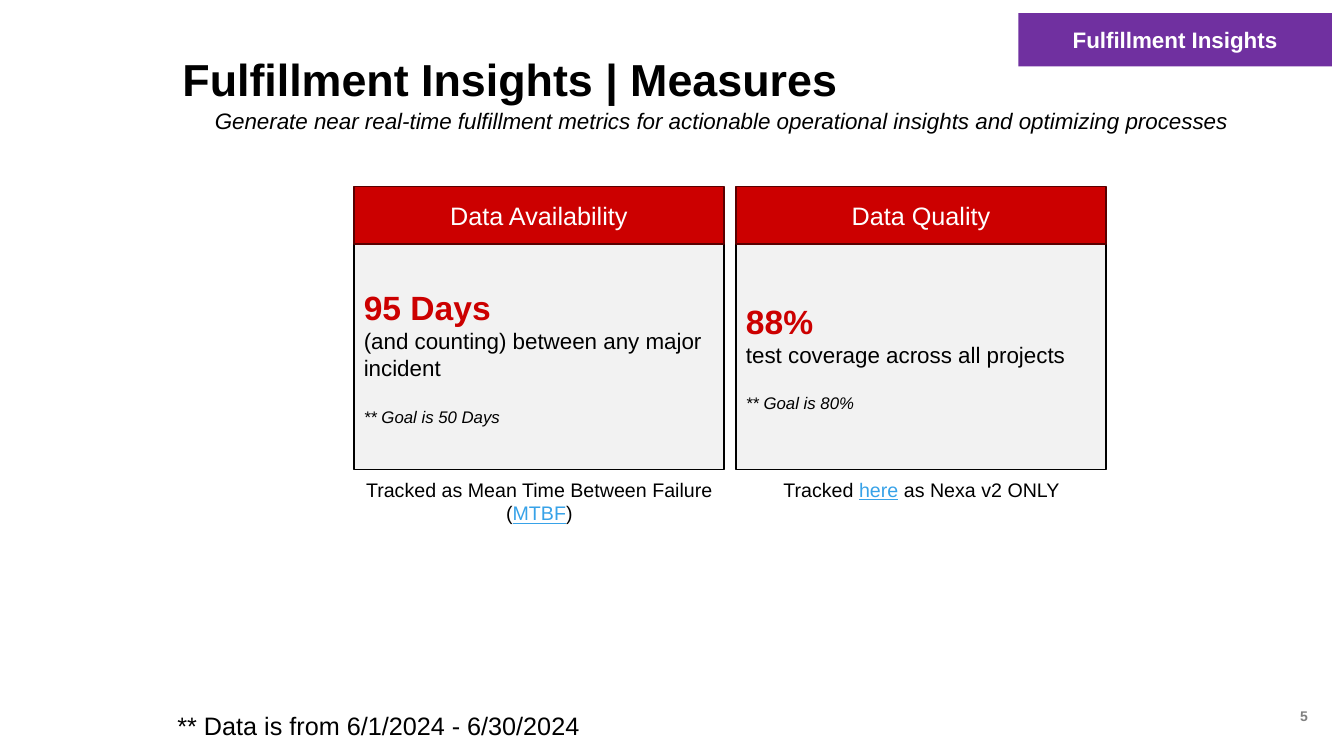
from pptx import Presentation
from pptx.dml.color import RGBColor
from pptx.enum.shapes import MSO_SHAPE
from pptx.enum.text import MSO_ANCHOR, PP_ALIGN
from pptx.util import Emu, Pt

PX = 9144
BLACK, WHITE, RED, DARK_RED = "000000", "FFFFFF", "CC0000", "590000"
GREY, PURPLE, LIGHT, LINK = "808080", "7030A0", "F2F2F2", "37A2E8"


def rgb(value):
    return RGBColor.from_string(value)


def write(box, lines, align=PP_ALIGN.LEFT, anchor=MSO_ANCHOR.TOP, inset=True):
    frame = box.text_frame
    frame.word_wrap = True
    frame.vertical_anchor = anchor
    if not inset:
        frame.margin_left = frame.margin_top = frame.margin_right = frame.margin_bottom = 0
    for index, (text, size, color, bold, italic) in enumerate(lines):
        para = frame.add_paragraph() if index else frame.paragraphs[0]
        para.text = text
        para.alignment = align
        para.font.name = "Arial"
        para.font.size = Pt(size)
        para.font.color.rgb = rgb(color)
        para.font.bold = bold
        para.font.italic = italic
    return frame


deck = Presentation()
deck.slide_width, deck.slide_height = Emu(1333 * PX), Emu(750 * PX)
page = deck.slides.add_slide(deck.slide_layouts[5])

title = page.shapes.title
title.left, title.top, title.width, title.height = [Emu(n * PX) for n in (181, 58, 1125, 47)]
frame = write(title, [("Fulfillment Insights | Measures", 32, BLACK, True, False)],
              anchor=MSO_ANCHOR.MIDDLE, inset=False)
frame.paragraphs[0].line_spacing = 0.9

subtitle = page.shapes.add_textbox(*[Emu(n * PX) for n in (213, 109, 1092, 39)])
frame = write(subtitle, [("Generate near real-time fulfillment metrics for actionable operational "
                          "insights and optimizing processes", 16, BLACK, False, True)], inset=False)
frame.paragraphs[0].line_spacing = 0.9

number = page.shapes.add_textbox(*[Emu(n * PX) for n in (1214, 690, 93, 40)])
write(number, [("5", 10, GREY, True, False)], PP_ALIGN.RIGHT, MSO_ANCHOR.MIDDLE)

footnote = page.shapes.add_textbox(*[Emu(n * PX) for n in (176, 705, 514, 30)])
write(footnote, [("** Data is from 6/1/2024 - 6/30/2024", 18, BLACK, False, False)], inset=False)

panels = [((1010, 13, 311, 53), PURPLE, None, PP_ALIGN.CENTER,
           [("Fulfillment Insights", 16, WHITE, True, False)])]
measures = [
    (351, "Data Availability", "95 Days", "(and counting) between any major incident",
     "** Goal is 50 Days", ("Tracked as Mean Time Between Failure (", "MTBF", ")")),
    (730, "Data Quality", "88%", "test coverage across all projects",
     "** Goal is 80%", ("Tracked ", "here", " as Nexa v2 ONLY")),
]
for left, heading, value, detail, goal, source in measures:
    panels.append(((left, 242, 367, 224), LIGHT, BLACK, PP_ALIGN.LEFT,
                   [(value, 24, RED, True, False), (detail, 16, BLACK, False, False),
                    (goal, 12, BLACK, False, True)]))
    panels.append(((left, 185, 367, 57), RED, DARK_RED, PP_ALIGN.CENTER,
                   [(heading, 18, WHITE, False, False)]))

    caption = page.shapes.add_textbox(*[Emu(n * PX) for n in (left, 474, 368, 47)])
    frame = write(caption, [("", 14, BLACK, False, False)], PP_ALIGN.CENTER, inset=False)
    for text in source:
        span = frame.paragraphs[0].add_run()
        span.text = text
        if text == source[1]:
            span.font.color.rgb = rgb(LINK)
            span.font.underline = True

for bounds, fill, outline, align, lines in panels:
    panel = page.shapes.add_shape(MSO_SHAPE.RECTANGLE, *[Emu(n * PX) for n in bounds])
    panel.shadow.inherit = False
    panel.fill.solid()
    panel.fill.fore_color.rgb = rgb(fill)
    if outline:
        panel.line.color.rgb = rgb(outline)
        panel.line.width = Pt(1)
    else:
        panel.line.fill.background()
    frame = write(panel, lines, align, MSO_ANCHOR.MIDDLE)
    if len(lines) == 3:
        frame.paragraphs[2].space_before = Pt(18)

deck.save("out.pptx")
